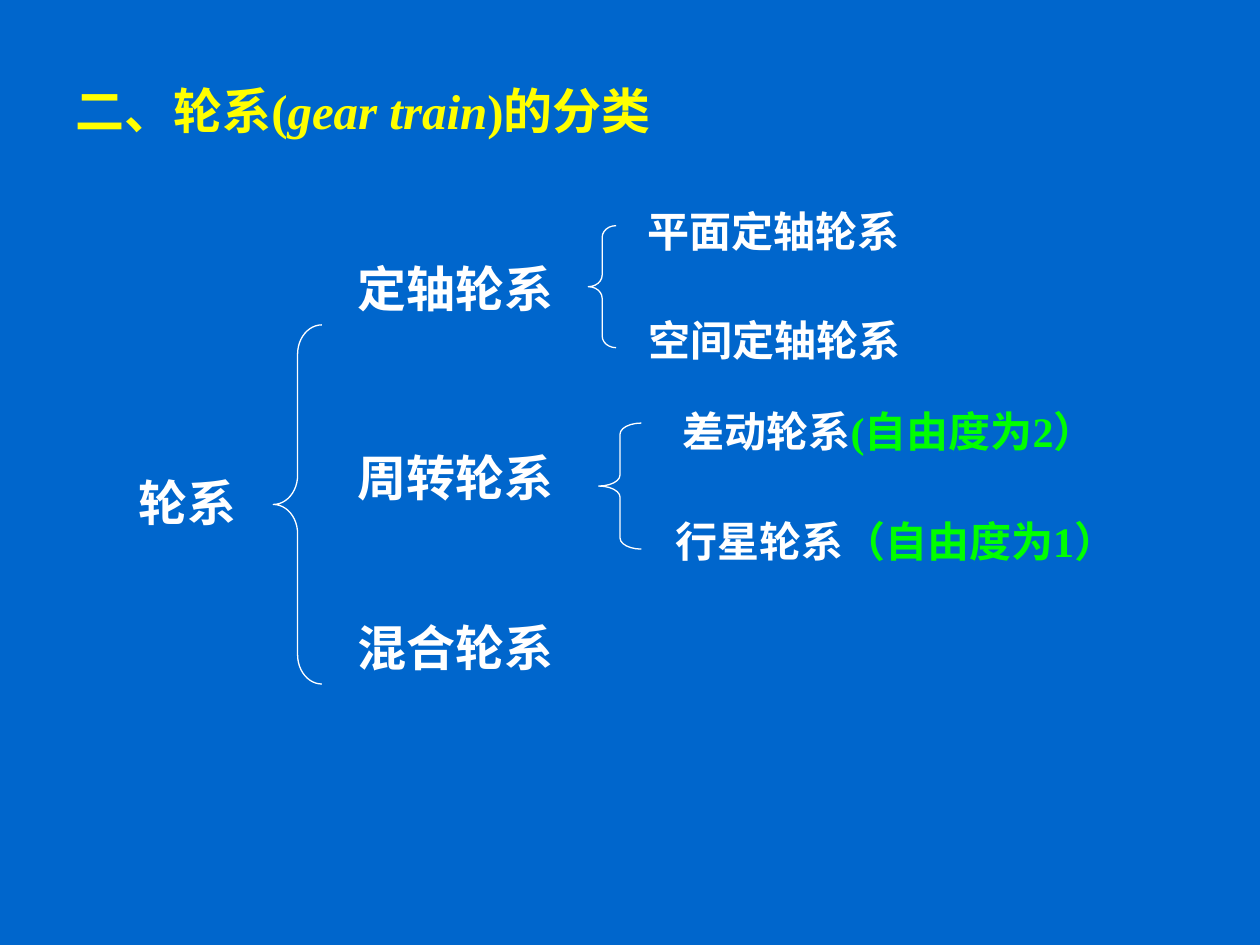
"""Build a slide that classifies gear trains as a tree of braces."""
from lxml import etree
from pptx import Presentation
from pptx import util as u
from pptx.dml.color import RGBColor
from pptx.enum import shapes, text
from pptx.oxml.ns import qn

BLUE = RGBColor(0x00, 0x66, 0xCC)
YELLOW = RGBColor(0xFF, 0xFF, 0x00)
WHITE = RGBColor(0xFF, 0xFF, 0xFF)
GREEN = RGBColor(0x00, 0xFF, 0x00)
LATIN, CHINESE = "Times New Roman", "Noto Sans CJK SC"

TITLE = [
    ("二、轮系", {"latin": CHINESE}),
    ("(", {}),
    ("gear train", {"italic": True}),
    (")", {}),
    ("的分类", {"latin": CHINESE}),
]
ROOT = ("轮系", 2.54, 9.53, 2.97)
BRANCH_LEFT, BRANCH_WIDTH = 6.96, 6.4
BRANCHES = [("定轴轮系", 5.08), ("周转轮系", 8.89), ("混合轮系", 12.32)]
LEAVES = [
    ("平面定轴轮系", "", 12.8, 4.01),
    ("空间定轴轮系", "", 12.83, 6.22),
    ("差动轮系", "(自由度为2）", 13.51, 8.05),
    ("行星轮系", "（自由度为1）", 13.36, 10.26),
]
LEAF_WIDTH = 10.08
BRACES = [
    (5.51, 6.55, 0.98, 7.24, 0.6),
    (11.86, 4.55, 0.56, 2.46, 0.42),
    (12.07, 8.53, 0.86, 2.54, 0.26),
]


def add_run(paragraph, words, size=28, color=WHITE, latin=LATIN, italic=False):
    run = paragraph.add_run()
    run.text = words
    font = run.font
    font.size, font.bold, font.italic = u.Pt(size), True, italic
    font.color.rgb = color
    font.name = latin
    east_asian = etree.SubElement(font._element, qn("a:ea"))
    east_asian.set("typeface", CHINESE)


def add_label(slide, runs, left, top, width, height, size=28):
    box = slide.shapes.add_textbox(u.Cm(left), u.Cm(top), u.Cm(width), u.Cm(height))
    box.text_frame.word_wrap = True
    paragraph = box.text_frame.paragraphs[0]
    for words, color in runs:
        add_run(paragraph, words, size=size, color=color)
    return paragraph


def add_brace(slide, left, top, width, height, curve):
    brace = slide.shapes.add_shape(
        shapes.MSO_SHAPE.LEFT_BRACE, u.Cm(left), u.Cm(top), u.Cm(width), u.Cm(height)
    )
    brace.adjustments[0] = curve
    brace.shadow.inherit = False
    brace.fill.background()
    brace.line.color.rgb = WHITE
    brace.line.width = u.Pt(0.75)


def add_title(slide):
    title = slide.shapes.title
    title.left, title.top = u.Cm(1.27), u.Cm(0.84)
    title.width, title.height = u.Cm(13.34), u.Cm(2.74)
    frame = title.text_frame
    frame.auto_size = text.MSO_AUTO_SIZE.NONE
    frame.vertical_anchor = text.MSO_ANCHOR.MIDDLE
    paragraph = frame.paragraphs[0]
    paragraph.alignment = text.PP_ALIGN.LEFT
    for words, style in TITLE:
        add_run(paragraph, words, color=YELLOW, **style)


def main():
    presentation = Presentation()
    presentation.slide_width, presentation.slide_height = u.Cm(25.4), u.Cm(19.05)
    slide = presentation.slides.add_slide(presentation.slide_layouts[5])
    slide.background.fill.solid()
    slide.background.fill.fore_color.rgb = BLUE

    add_title(slide)
    for brace in BRACES:
        add_brace(slide, *brace)
    root, left, top, width = ROOT
    add_label(slide, [(root, WHITE)], left, top, width, 1.32).line_spacing = 0.9
    for branch, top in BRANCHES:
        add_label(slide, [(branch, WHITE)], BRANCH_LEFT, top, BRANCH_WIDTH, 1.45)
    for leaf, freedom, left, top in LEAVES:
        runs = [(leaf, WHITE)] + ([(freedom, GREEN)] if freedom else [])
        add_label(slide, runs, left, top, LEAF_WIDTH, 1.27, size=24)

    presentation.save("out.pptx")


if __name__ == "__main__":
    main()
